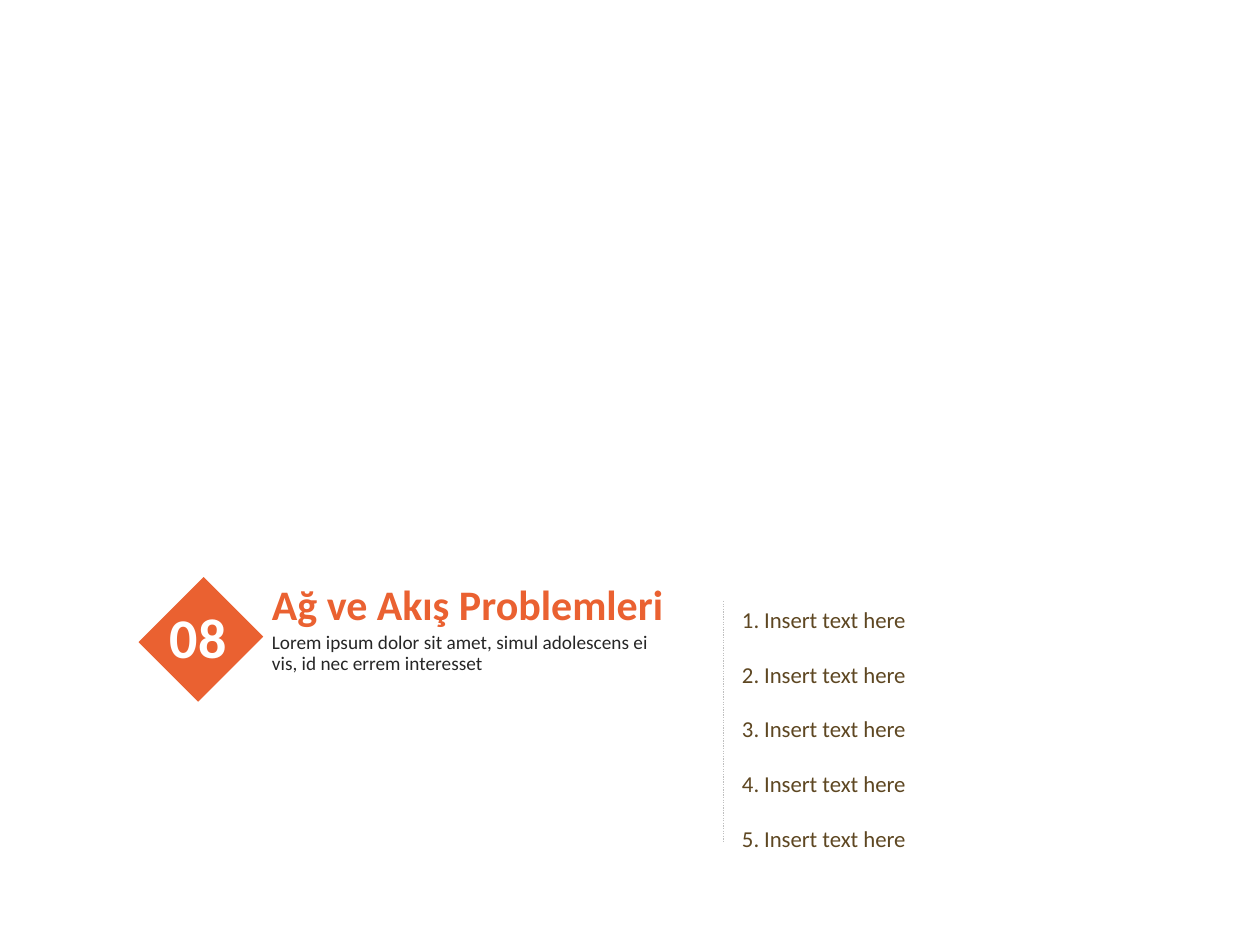
"""Builds the section slide for topic 08 with its numbered list."""
from dataclasses import dataclass
from typing import Optional

from lxml import etree
from pptx import Presentation
from pptx.dml.color import RGBColor
from pptx.enum.dml import MSO_LINE
from pptx.enum.shapes import MSO_CONNECTOR, MSO_SHAPE
from pptx.oxml.ns import qn
from pptx.util import Pt

DOTTED = MSO_LINE.ROUND_DOT
STRAIGHT = MSO_CONNECTOR.STRAIGHT
RECTANGLE = MSO_SHAPE.RECTANGLE


@dataclass(frozen=True)
class Theme:
    font: str = "Calibri"
    accent: str = "EA6131"
    white: str = "FFFFFF"
    body: str = "262626"
    item: str = "5E4722"
    rule: str = "BFBFBF"
    number_size: float = 32
    title_size: float = 24
    item_size: float = 13
    body_size: float = 11


@dataclass(frozen=True)
class TextBlock:
    lines: tuple[str, ...]
    left: float
    top: float
    width: float
    height: float
    size: float
    color: str
    bold: bool = False
    wrap: bool = True
    spacing: Optional[float | Pt] = None
    hanging: float = 0


THEME = Theme()
BLOCKS = (
    TextBlock(("Insert text here",) * 5, 416.9, 326.9, 236.2, 164.9,
              THEME.item_size, THEME.item, spacing=2.0, hanging=12.6),
    TextBlock(("Ağ ve Akış Problemleri",), 148.3, 326.9, 246.2, 65.5,
              THEME.title_size, THEME.accent, bold=True),
    TextBlock(("08",), 90, 340.6, 51.8, 46.1,
              THEME.number_size, THEME.white, bold=True, wrap=False),
    TextBlock(("Lorem ipsum dolor sit amet, simul adolescens ei vis, id nec errem interesset",),
              148.3, 357.8, 232.6, 31.7, THEME.body_size, THEME.body, spacing=Pt(12)),
)


def number_paragraph(para, hanging: float) -> None:
    properties = para._p.get_or_add_pPr()
    properties.set("marL", str(Pt(hanging)))
    properties.set("indent", str(-Pt(hanging)))
    etree.SubElement(properties, qn("a:buFont"), typeface="+mj-lt")
    etree.SubElement(properties, qn("a:buAutoNum"), type="arabicPeriod")


def draw_text(page, block: TextBlock) -> None:
    box = page.shapes.add_textbox(Pt(block.left), Pt(block.top), Pt(block.width), Pt(block.height))
    frame = box.text_frame
    frame.text = "\n".join(block.lines)
    frame.word_wrap = block.wrap
    for para in frame.paragraphs:
        if block.hanging:
            number_paragraph(para, block.hanging)
        if block.spacing is not None:
            para.line_spacing = block.spacing
        for span in para.runs:
            span.font.name = THEME.font
            span.font.size = Pt(block.size)
            span.font.bold = block.bold
            span.font.color.rgb = RGBColor.from_string(block.color)


def draw_diamond(page) -> None:
    diamond = page.shapes.add_shape(RECTANGLE, Pt(90.7), Pt(339.1), Pt(48.2), Pt(52.6))
    diamond.rotation = 45
    diamond.shadow.inherit = False
    diamond.fill.solid()
    diamond.fill.fore_color.rgb = RGBColor.from_string(THEME.accent)
    diamond.line.fill.background()


def draw_divider(page) -> None:
    divider = page.shapes.add_connector(STRAIGHT, Pt(413.3), Pt(343.4), Pt(413.3), Pt(481.7))
    divider.line.color.rgb = RGBColor.from_string(THEME.rule)
    divider.line.width = Pt(0.75)
    divider.line.dash_style = DOTTED
    etree.SubElement(divider._element.spPr, qn("a:effectLst"))


def main() -> None:
    deck = Presentation()
    deck.slide_width, deck.slide_height = Pt(720), Pt(540)
    page = deck.slides.add_slide(deck.slide_layouts[6])
    draw_diamond(page)
    for block in BLOCKS:
        draw_text(page, block)
    draw_divider(page)
    deck.save("out.pptx")


if __name__ == "__main__":
    main()
